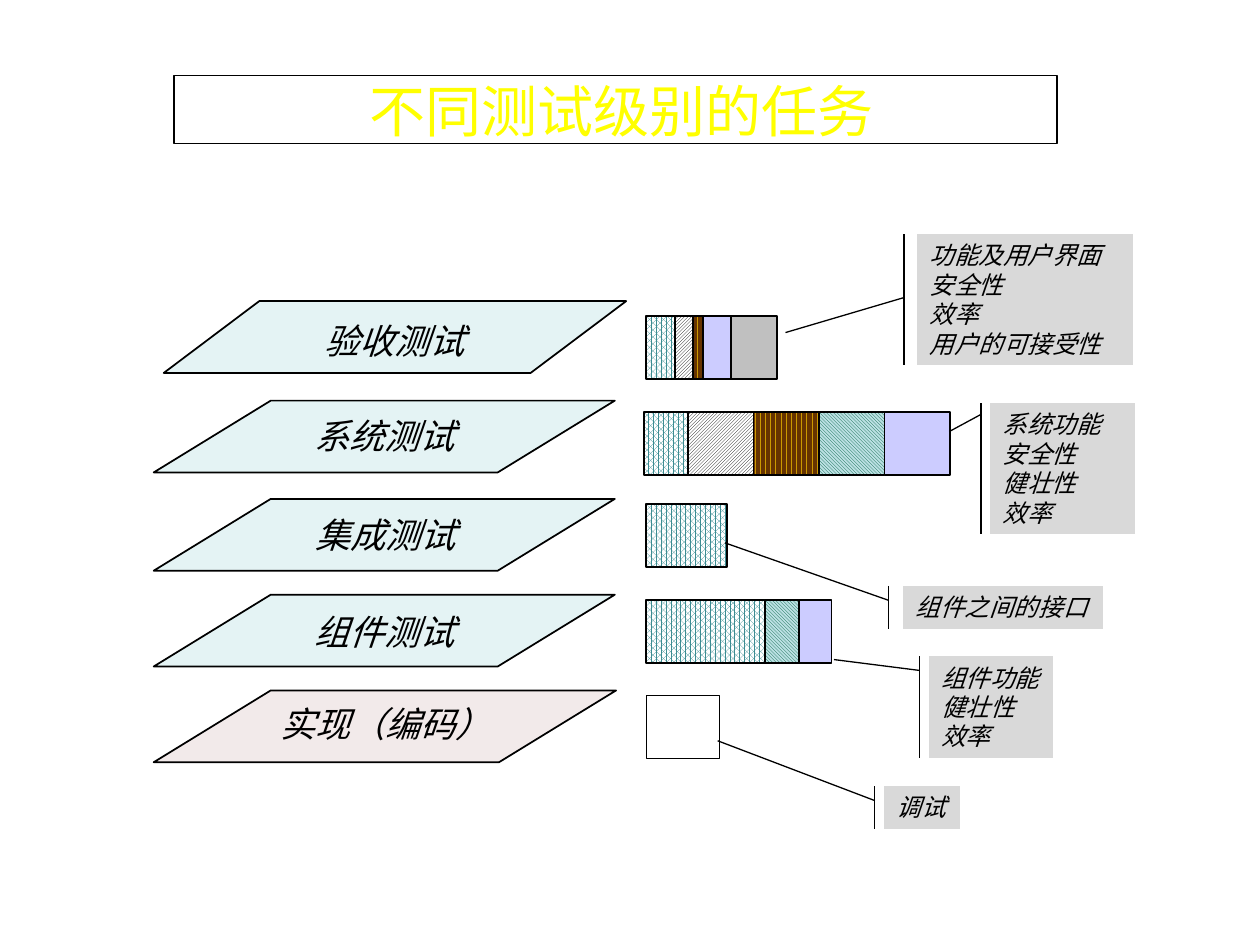
import copy

import pptx
import pptx.dml.color
import pptx.enum.dml
import pptx.enum.shapes
import pptx.enum.text
import pptx.oxml
import pptx.oxml.ns
import pptx.util

CELL = pptx.util.Inches(0.1)
FONT = "Noto Sans CJK SC"
SHAPES = pptx.enum.shapes.MSO_SHAPE
PATTERNS = pptx.enum.dml.MSO_PATTERN
ALIGN = pptx.enum.text.PP_ALIGN

COLORS = {
    "black": "000000", "white": "FFFFFF", "yellow": "FFFF00",
    "note": "D9D9D9", "test": "E4F3F4", "coding": "F2EAEA",
    "lilac": "CCCCFF", "silver": "C0C0C0", "teal": "3C8C92",
    "green": "006040", "mint": "BBE0E3", "brown": "663300", "gold": "CC9900",
}
HATCHES = {
    "interface": (PATTERNS.PERCENT_75, "teal", "white"),
    "function": (PATTERNS.DARK_UPWARD_DIAGONAL, "black", "white"),
    "safety": (PATTERNS.DARK_VERTICAL, "brown", "gold"),
    "robustness": (PATTERNS.DARK_DOWNWARD_DIAGONAL, "green", "mint"),
}

# Each box is (column, row, columns wide, rows high) in cells of a tenth of an inch.
LEVELS = [
    {"name": "实现（编码）", "fill": "coding", "plate": (12.2, 54.8, 36.7, 5.7),
     "label": (16.7, 55.6, 27.8, 4.1), "slant": 1.63,
     "bar": (51.3, 55.2), "parts": [("white", 5.8)],
     "note": "调试", "note_box": (70.2, 62.4, 6, 3.4),
     "leader": (0.336, -0.128, -1.061, -2.207)},
    {"name": "组件测试", "fill": "test", "plate": (12.2, 47.2, 36.6, 5.7),
     "label": (18.9, 48, 23.2, 4.4), "slant": 1.63,
     "bar": (51.3, 47.6),
     "parts": [("interface", 9.4), ("robustness", 2.7), ("lilac", 2.6)],
     "note": "组件功能\n健壮性\n效率", "note_box": (73.7, 52.1, 9.9, 8.1),
     "leader": (0.137, -0.076, 0.031, -0.759)},
    {"name": "集成测试", "fill": "test", "plate": (12.2, 39.6, 36.6, 5.7),
     "label": (19.7, 40.3, 21.8, 4.4), "slant": 1.63,
     "bar": (51.3, 40), "parts": [("interface", 6.4)],
     "note": "组件之间的接口", "note_box": (71.7, 46.5, 15.8, 3.4),
     "leader": (0.336, -0.076, -1.004, -0.897)},
    {"name": "系统测试", "fill": "test", "plate": (12.2, 31.8, 36.6, 5.7),
     "label": (21.2, 32.4, 18.6, 4.4), "slant": 1.63,
     "bar": (51.1, 32.7),
     "parts": [("interface", 3.5), ("function", 5.2), ("safety", 5.2),
               ("robustness", 5.2), ("lilac", 5.2)],
     "note": "系统功能\n安全性\n健壮性\n效率", "note_box": (78.6, 32, 11.5, 10.4),
     "leader": (0.086, -0.065, 0.217, -0.284)},
    {"name": "验收测试", "fill": "test", "plate": (13, 23.9, 36.7, 5.7),
     "label": (22, 24.9, 18.6, 4.4), "slant": 1.33,
     "bar": (51.3, 25.1),
     "parts": [("interface", 2.3), ("function", 1.4), ("safety", 0.8),
               ("lilac", 2.2), ("silver", 3.7)],
     "note": "功能及用户界面\n安全性\n效率\n用户的可接受性",
     "note_box": (72.8, 18.6, 17.1, 10.4),
     "leader": (0.483, -0.062, 0.75, -0.612)},
]


def cells(*counts):
    """Turn counts of grid cells into lengths."""
    return [round(CELL * count) for count in counts]


def color(name):
    """Look up a named colour."""
    return pptx.dml.color.RGBColor.from_string(COLORS[name])


def paint(shape, fill, width):
    """Give a shape a plain or hatched fill and a black line."""
    if fill in HATCHES:
        pattern, front, back = HATCHES[fill]
        shape.fill.patterned()
        shape.fill.pattern = pattern
        shape.fill.fore_color.rgb = color(front)
        shape.fill.back_color.rgb = color(back)
    else:
        shape.fill.solid()
        shape.fill.fore_color.rgb = color(fill)
    shape.line.color.rgb = color("black")
    shape.line.width = pptx.util.Pt(width)


def write(shape, text, size, ink="black", italic=True, align=ALIGN.LEFT):
    """Write one paragraph, with its line breaks, into a shape."""
    frame = shape.text_frame
    frame.word_wrap = True
    frame.vertical_anchor = pptx.enum.text.MSO_ANCHOR.TOP
    para = frame.paragraphs[0]
    para.text = text
    para.alignment = align
    for span in para.runs:
        span.font.size = pptx.util.Pt(size)
        span.font.name = FONT
        span.font.italic = italic
        span.font.color.rgb = color(ink)
        east = pptx.oxml.parse_xml(
            f'<a:ea {pptx.oxml.ns.nsdecls("a")} typeface="{FONT}"/>')
        span.font._element.append(east)
    for line_break in para._p.findall(pptx.oxml.ns.qn("a:br")):
        line_break.append(copy.deepcopy(para.runs[0].font._element))
    return para


def add_block(page, kind, box, fill, width=1, adjustments=()):
    """Add a painted preset shape without a shadow."""
    shape = page.shapes.add_shape(kind, *cells(*box))
    shape.shadow.inherit = False
    for index, value in enumerate(adjustments):
        shape.adjustments[index] = value
    paint(shape, fill, width)
    return shape


def add_title(page, text):
    """Frame and fill the title placeholder."""
    title = page.shapes.title
    title.left, title.top, title.width, title.height = cells(13.8, 6, 70.1, 5.4)
    paint(title, "white", 0.75)
    write(title, text, 32, "yellow", False, ALIGN.CENTER)
    title.text_frame.margin_top = title.text_frame.margin_bottom = 0
    title.text_frame.vertical_anchor = pptx.enum.text.MSO_ANCHOR.MIDDLE


def add_task_bar(page, level):
    """Lay the parts of a level's bar side by side."""
    column, row = level["bar"]
    for fill, width in level["parts"]:
        add_block(page, SHAPES.RECTANGLE, (column, row, width, 5), fill)
        column += width


def add_note(page, level):
    """Add the callout that lists a level's tasks."""
    note = add_block(page, SHAPES.LINE_CALLOUT_1_ACCENT_BAR, level["note_box"],
                     "note", 0.75, level["leader"])
    write(note, level["note"], 14)


def add_plate(page, level):
    """Add a level's slanted plate and its name."""
    add_block(page, SHAPES.PARALLELOGRAM, level["plate"], level["fill"], 1,
              [level["slant"]])
    label = page.shapes.add_textbox(*cells(*level["label"]))
    para = write(label, level["name"], 20, align=ALIGN.CENTER)
    if level["fill"] == "coding":
        para.line_spacing = 0.9


def main():
    """Build the slide on the tasks of the test levels."""
    deck = pptx.Presentation()
    deck.slide_width, deck.slide_height = cells(100, 75)
    page = deck.slides.add_slide(deck.slide_layouts[5])
    add_title(page, " 不同测试级别的任务")
    for level in LEVELS:
        add_task_bar(page, level)
        add_note(page, level)
    for level in LEVELS:
        add_plate(page, level)
    deck.save("out.pptx")


if __name__ == "__main__":
    main()
